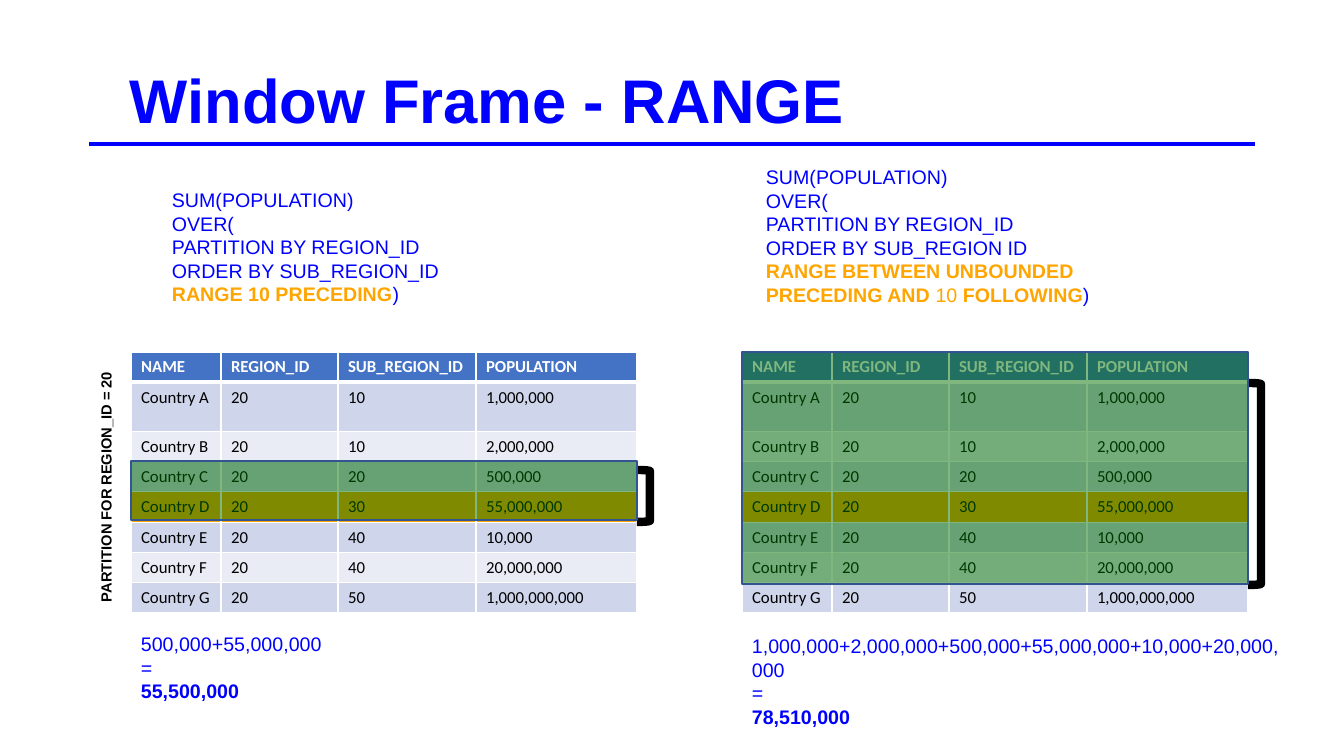
from lxml.etree import SubElement
from pptx import Presentation
from pptx.dml.color import RGBColor
from pptx.enum.shapes import MSO_CONNECTOR as Connector, MSO_SHAPE as Shape
from pptx.enum.text import PP_ALIGN as Align
from pptx.oxml.ns import qn
from pptx.util import Emu, Pt

SCALE = 914400 / 100.8
BLUE, ORANGE, BLACK, WHITE = "0000FF", "FFA500", "000000", "FFFFFF"
HEADER, BAND, LIGHT = "4472C4", "CFD5EA", "E9EBF5"
GREEN, OUTLINE = "007000", "325491"


def px(value):
    return Emu(round(value * SCALE))


def rgb(value):
    return RGBColor.from_string(value)


def add_border(cell, side, width):
    line = SubElement(cell._tc.get_or_add_tcPr(), qn("a:" + side), w=str(Pt(width)))
    fill = SubElement(line, qn("a:solidFill"))
    SubElement(fill, qn("a:srgbClr"), val=WHITE)


class Canvas:
    font = "Arial"
    code_size = 14
    code_spacing = Pt(16.8)

    def __init__(self, page):
        self.page = page

    def style(self, span, size, color, bold=False, font=None):
        span.font.name = font or self.font
        span.font.size = Pt(size)
        span.font.bold = bold
        span.font.color.rgb = rgb(color)

    def text(self, x, y, width, height, lines, size=code_size, spacing=None, wrap=True):
        box = self.page.shapes.add_textbox(px(x), px(y), px(width), px(height))
        frame = box.text_frame
        frame.word_wrap = wrap
        for index, line in enumerate(lines):
            para = frame.add_paragraph() if index else frame.paragraphs[0]
            para.line_spacing = spacing
            for words, color, bold in line:
                span = para.add_run()
                span.text = words
                self.style(span, size, color, bold)
        return box

    def rule(self, x1, x2, y):
        line = self.page.shapes.add_connector(Connector.STRAIGHT, px(x1), px(y), px(x2), px(y))
        line.line.color.rgb = rgb(BLUE)
        line.line.width = Pt(3)
        SubElement(line._element.spPr, qn("a:effectLst"))

    def shape(self, kind, x, y, width, height, line, weight):
        item = self.page.shapes.add_shape(kind, px(x), px(y), px(width), px(height))
        item.shadow.inherit = False
        item.fill.background()
        item.line.color.rgb = rgb(line)
        item.line.width = Pt(weight)
        return item

    def bracket(self, x, y, height):
        self.shape(Shape.RIGHT_BRACKET, x, y, 13, height, BLACK, 6)

    def highlight(self, x, y, width, height):
        item = self.shape(Shape.RECTANGLE, x, y, width, height, OUTLINE, 1)
        item.fill.solid()
        item.fill.fore_color.rgb = rgb(GREEN)
        color = item._element.spPr.find(qn("a:solidFill"))[0]
        SubElement(color, qn("a:alpha"), val="50000")

    def table(self, x, y, columns, heights, rows, marked):
        table = self.page.shapes.add_table(
            len(rows), len(columns), px(x), px(y), px(sum(columns)), px(sum(heights))).table
        table.horz_banding = False
        for column, width in zip(table.columns, columns):
            column.width = px(width)
        for index, (row, height, values) in enumerate(zip(table.rows, heights, rows)):
            row.height = px(height)
            head = index == 0
            fill = HEADER if head else ORANGE if index == marked else BAND if index % 2 else LIGHT
            for cell, value in zip(row.cells, values):
                cell.text = value
                span = cell.text_frame.paragraphs[0].runs[0]
                self.style(span, 12, WHITE if head else BLACK, head, "Calibri")
                for side in ("lnL", "lnR", "lnT", "lnB"):
                    thick = (head and side == "lnB") or (index == 1 and side == "lnT")
                    add_border(cell, side, 3 if thick else 1)
                cell.fill.solid()
                cell.fill.fore_color.rgb = rgb(fill)


COLUMNS = [90, 117, 138, 161]
HEIGHTS = [30, 49] + [30] * 6
COUNTRIES = [
    ("A", "10", "1,000,000"),
    ("B", "10", "2,000,000"),
    ("C", "20", "500,000"),
    ("D", "30", "55,000,000"),
    ("E", "40", "10,000"),
    ("F", "40", "20,000,000"),
    ("G", "50", "1,000,000,000"),
]
ROWS = [("NAME", "REGION_ID", "SUB_REGION_ID", "POPULATION")]
ROWS += [("Country " + letter, "20", region, people) for letter, region, people in COUNTRIES]
TABLE_TOP = 352
CURRENT_ROW = 4

PANELS = [
    dict(left=131, code=(162, 183), order="ORDER BY SUB_REGION_ID",
         frame=[("RANGE 10 PRECEDING", ORANGE, True)],
         bracket=(470, 52), highlight=(461, 59), result=(627, 434),
         addends="500,000+55,000,000", total="55,500,000"),
    dict(left=742, code=(756, 160), order="ORDER BY SUB_REGION ID",
         frame=[("RANGE BETWEEN UNBOUNDED PRECEDING AND ", ORANGE, True),
                ("10", ORANGE, False), (" FOLLOWING", ORANGE, True)],
         bracket=(383, 202), highlight=(352, 232), result=(629, 555),
         addends="1,000,000+2,000,000+500,000+55,000,000+10,000+20,000,000",
         total="78,510,000"),
]

deck = Presentation()
deck.slide_width, deck.slide_height = px(1344), px(756)
canvas = Canvas(deck.slides.add_slide(deck.slide_layouts[6]))

title = canvas.text(120, 51, 1098, 78, [[("Window Frame - RANGE", BLUE, True)]], size=44)
title.text_frame.margin_top = px(11)
canvas.rule(89, 1255, 144)

for panel in PANELS:
    left, width = panel["left"], sum(COLUMNS)
    opening = ["SUM(POPULATION)", "OVER(", "PARTITION BY REGION_ID", panel["order"]]
    code = [[(words, BLUE, False)] for words in opening]
    code.append(panel["frame"] + [(")", BLUE, False)])
    canvas.text(*panel["code"], 434, 129, code, spacing=canvas.code_spacing)
    canvas.table(left, TABLE_TOP, COLUMNS, HEIGHTS, ROWS, CURRENT_ROW)
    canvas.bracket(left + width, *panel["bracket"])
    top, result_width = panel["result"]
    result = [[(panel["addends"], BLUE, False)], [("=", BLUE, False)], [(panel["total"], BLUE, True)]]
    canvas.text(left, top, result_width, 82, result, spacing=canvas.code_spacing)
    highlight_top, highlight_height = panel["highlight"]
    canvas.highlight(left, highlight_top, width, highlight_height)

partition = canvas.text(-22, 473, 256, 28, [[("PARTITION FOR REGION_ID = 20", BLACK, True)]],
                        size=10.5, wrap=False)
partition.text_frame.paragraphs[0].alignment = Align.CENTER
partition.rotation = 270

deck.save("out.pptx")
